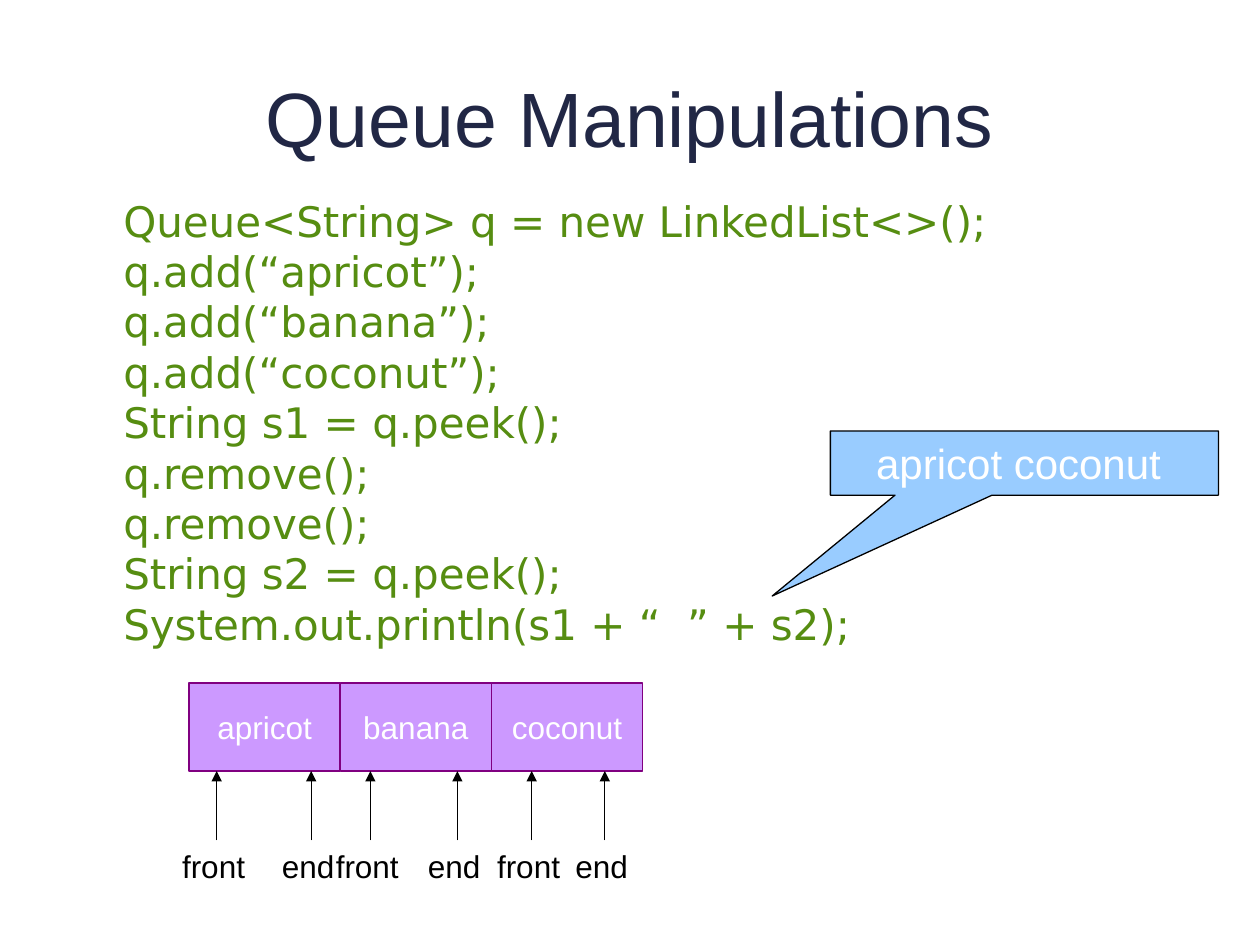
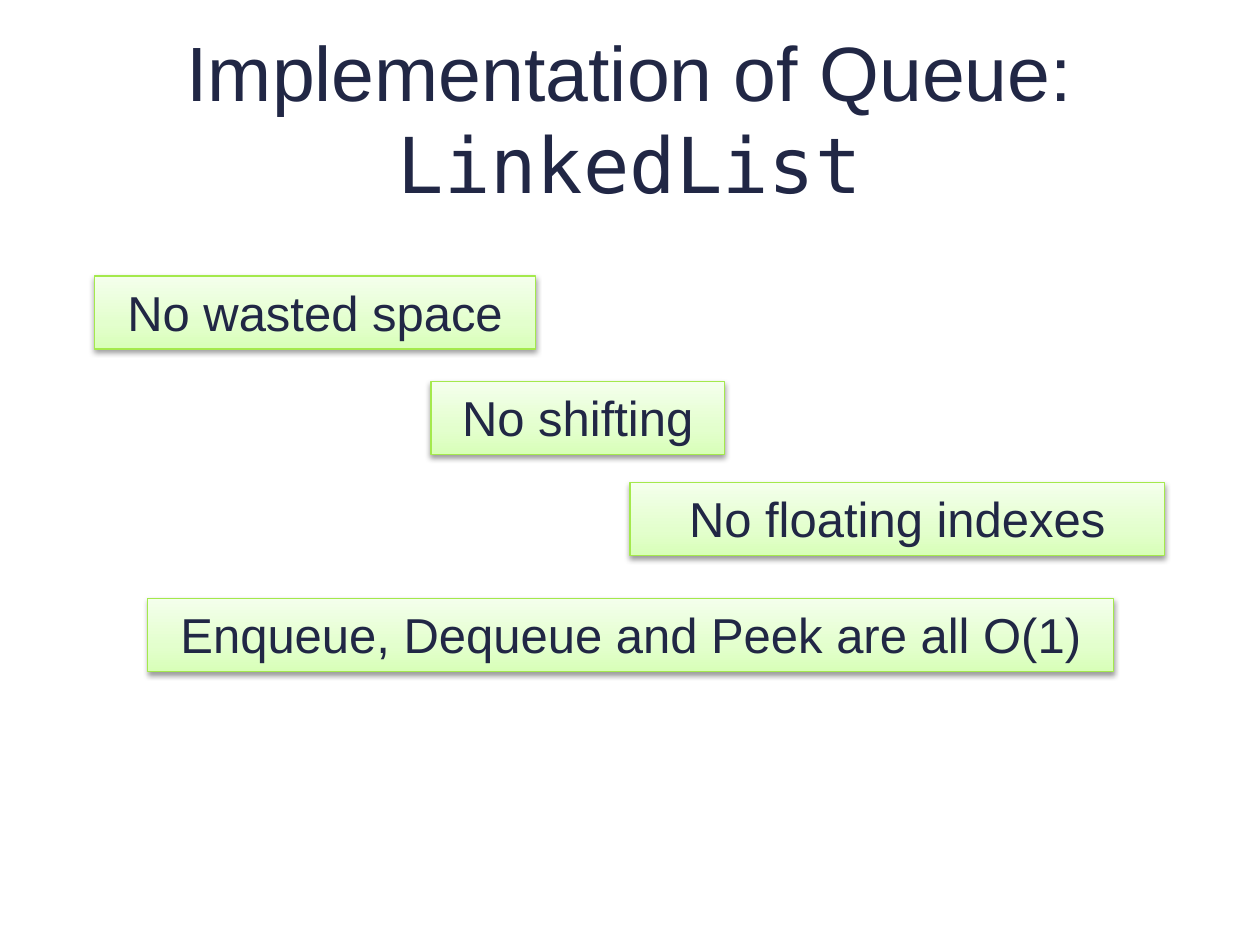
from dataclasses import dataclass

from lxml.etree import SubElement
from pptx import Presentation
from pptx.dml.color import RGBColor
from pptx.enum.shapes import MSO_CONNECTOR as Connector, MSO_SHAPE as Shape
from pptx.enum.text import MSO_ANCHOR as Anchor, PP_ALIGN as Align
from pptx.oxml import parse_xml
from pptx.oxml.ns import nsdecls, qn
from pptx.util import Inches, Pt

COLORS = {
    "title": "212745", "code": "568D11", "white": "FFFFFF", "ink": "000000",
    "cell": "CC99FF", "cell_edge": "800080", "callout": "99CCFF",
    "note_edge": "A4E94C", "note_low": "D8FFB8", "note_mid": "E3FFCD",
    "note_high": "F4FFEC",
}
SANS, CODE, MONO = "Arial", "DejaVu Sans", "DejaVu Sans Mono"
SLIDE_W, SLIDE_H = Inches(10), Inches(7.5)
COLUMN, ROW = SLIDE_W / 100, SLIDE_H / 75

CODE_LINES = [
    "Queue<String> q = new LinkedList<>();",
    "q.add(“apricot”);",
    "q.add(“banana”);",
    "q.add(“coconut”);",
    "String s1 = q.peek();",
    "q.remove();",
    "q.remove();",
    "String s2 = q.peek();",
    "System.out.println(s1 + “  ” + s2);",
]
QUEUE = [
    ("apricot", {"front": 2.2, "end": 9.7}),
    ("banana", {"front": 2.4, "end": 9.3}),
    ("coconut", {"front": 3.2, "end": 9}),
]
NOTES = [
    ("No wasted space", 0, 0, 35),
    ("No shifting", 26.7, 8.4, 23.3),
    ("No floating indexes", 42.5, 16.4, 42.4),
    ("Enqueue, Dequeue and Peek are all O(1)", 4.2, 25.6, 76.7),
]


@dataclass
class Box:
    left: float
    top: float
    width: float
    height: float

    def inside(self, column, row, width, height):
        return Box(self.left + column, self.top + row, width, height)

    def emu(self):
        return (round(self.left * COLUMN), round(self.top * ROW),
                round(self.width * COLUMN), round(self.height * ROW))


TITLE_BOX = Box(5, 3, 90, 12.5)


def rgb(name):
    return RGBColor.from_string(COLORS[name])


def write(part, lines, size, color, font=SANS, align=Align.CENTER,
          anchor=Anchor.MIDDLE):
    frame = part.text_frame
    frame.word_wrap = True
    frame.vertical_anchor = anchor
    frame.text = "\n".join(lines)
    for paragraph in frame.paragraphs:
        paragraph.alignment = align
        paragraph.font.size = Pt(size)
        paragraph.font.name = font
        paragraph.font.color.rgb = rgb(color)
    return frame


def text_area(slide, box, lines, size, color, **style):
    return write(slide.shapes.add_textbox(*box.emu()), lines, size, color, **style)


def panel(slide, box, preset, edge, fill=None):
    part = slide.shapes.add_shape(preset, *box.emu())
    part.shadow.inherit = False
    part.line.color.rgb = rgb(edge)
    part.line.width = Pt(0.75)
    if fill:
        part.fill.solid()
        part.fill.fore_color.rgb = rgb(fill)
    return part


def add_title(slide, words, code_word=""):
    frame = text_area(slide, TITLE_BOX, [words], 44, "title")
    if code_word:
        run = frame.paragraphs[0].add_run()
        run.text = code_word
        run.font.name = MONO


def add_pointer(slide, box, label):
    tip = box.left + 5
    left, top, _, _ = Box(tip, box.top, 0, 0).emu()
    arrow = slide.shapes.add_connector(
        Connector.STRAIGHT, left, round(top + 5.5 * ROW), left, top)
    arrow.line.color.rgb = rgb("ink")
    arrow.line.width = Pt(0.75)
    SubElement(arrow.line._get_or_add_ln(), qn("a:tailEnd"), type="triangle")
    SubElement(arrow._element.spPr, qn("a:effectLst"))
    text_area(slide, box.inside(0, 5.5, box.width, 4), [label], 18, "ink",
              anchor=Anchor.TOP)


def add_queue(slide, box):
    cell_width = box.width / len(QUEUE)
    for index, (fruit, pointers) in enumerate(QUEUE):
        cell_box = box.inside(index * cell_width, 0, cell_width, 7)
        cell = panel(slide, cell_box, Shape.RECTANGLE, "cell_edge", "cell")
        write(cell, [fruit], 18, "white")
        for label, offset in pointers.items():
            add_pointer(slide, cell_box.inside(offset - 5, 7, 9.5, 9.5), label)


def add_output(slide, box):
    output = panel(slide, box, Shape.RECTANGULAR_CALLOUT, "ink", "callout")
    output.adjustments[0] = -0.65
    output.adjustments[1] = 2.07
    write(output, ["apricot coconut "], 24, "white")


def style_note(note):
    properties = note._element.spPr
    stops = "".join(
        f'<a:gs pos="{share * 1000}"><a:srgbClr val="{COLORS[name]}"/></a:gs>'
        for share, name in ((0, "note_low"), (35, "note_mid"), (100, "note_high")))
    properties.find(qn("a:ln")).addprevious(parse_xml(
        f'<a:gradFill {nsdecls("a")} rotWithShape="1"><a:gsLst>{stops}</a:gsLst>'
        '<a:lin ang="16200000" scaled="0"/></a:gradFill>'))
    properties.find(qn("a:effectLst")).append(parse_xml(
        f'<a:outerShdw {nsdecls("a")} blurRad="40000" dist="20000" dir="5400000"'
        f' rotWithShape="0"><a:srgbClr val="{COLORS["ink"]}">'
        '<a:alpha val="38000"/></a:srgbClr></a:outerShdw>'))


def add_notes(slide, box):
    for words, column, row, width in NOTES:
        note = panel(slide, box.inside(column, row, width, 5.8),
                     Shape.RECTANGLE, "note_edge")
        style_note(note)
        write(note, [words], 28, "title", anchor=Anchor.TOP)


def manipulations_slide(slide):
    add_title(slide, "Queue Manipulations")
    add_queue(slide, Box(15, 54.2, 36, 16.5))
    add_output(slide, Box(65.9, 34.2, 30.8, 5.1))
    text_area(slide, Box(8.8, 15, 84.5, 37.4), CODE_LINES, 24, "code",
              font=CODE, align=Align.LEFT, anchor=Anchor.TOP)


def implementation_slide(slide):
    add_title(slide, "Implementation of Queue: ", "LinkedList")
    add_notes(slide, Box(7.5, 21.9, 84.9, 31.4))


def main():
    deck = Presentation()
    deck.slide_width, deck.slide_height = SLIDE_W, SLIDE_H
    for build in (manipulations_slide, implementation_slide):
        build(deck.slides.add_slide(deck.slide_layouts[6]))
    deck.save("out.pptx")


if __name__ == "__main__":
    main()
